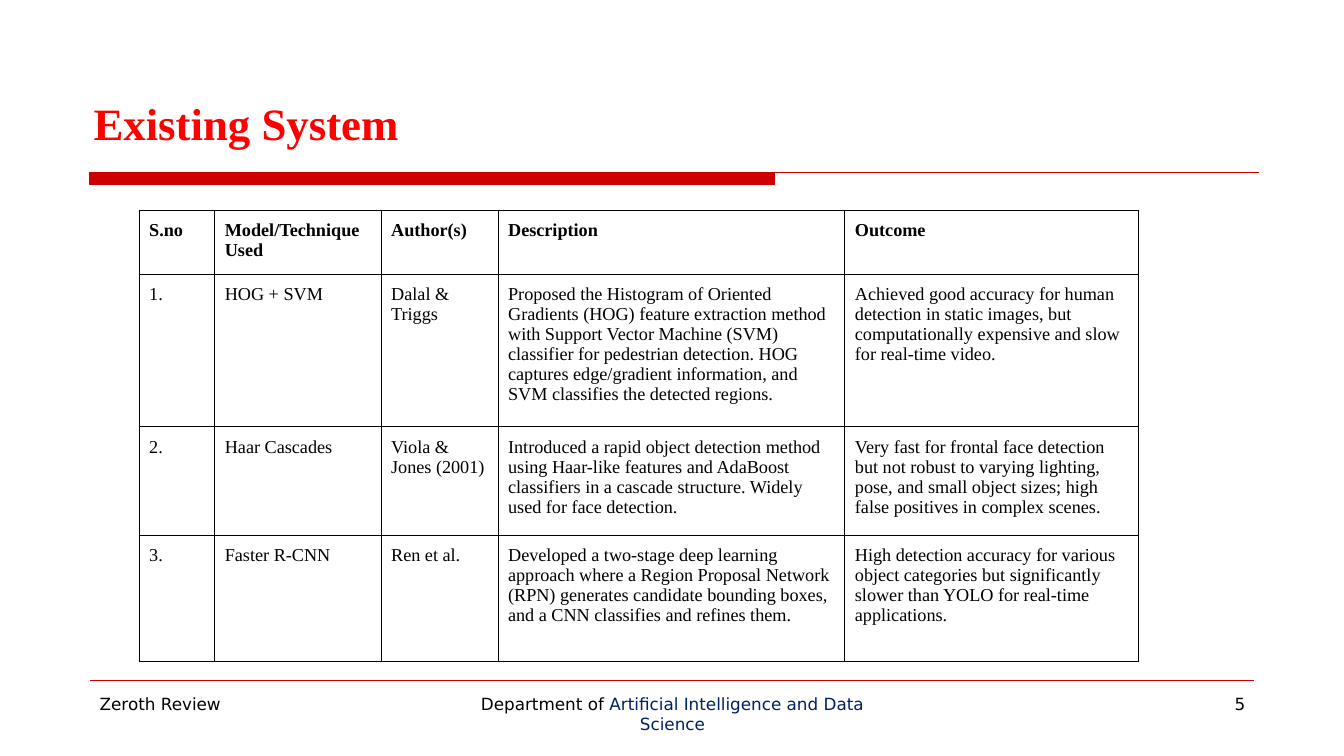
from lxml.etree import SubElement
from pptx import Presentation
from pptx.dml.color import RGBColor
from pptx.enum.shapes import MSO_CONNECTOR, MSO_SHAPE
from pptx.enum.text import MSO_ANCHOR, PP_ALIGN
from pptx.oxml.ns import qn
from pptx.util import Inches, Pt

BLACK = RGBColor(0x00, 0x00, 0x00)
RED = RGBColor(0xFF, 0x00, 0x00)
DARK_RED = RGBColor(0xCC, 0x00, 0x00)
NAVY = RGBColor(0x00, 0x20, 0x60)
SERIF = "Times New Roman"
SANS = "DejaVu Sans"


def add_span(para, text, size=12, font=SANS, color=BLACK, bold=False):
    span = para.add_run()
    span.text = text
    span.font.size = Pt(size)
    span.font.name = font
    span.font.color.rgb = color
    span.font.bold = bold


def add_box(left, top, width, height, align=PP_ALIGN.LEFT, anchor=MSO_ANCHOR.TOP):
    box = page.shapes.add_textbox(Inches(left), Inches(top), Inches(width), Inches(height))
    box.text_frame.word_wrap = True
    box.text_frame.vertical_anchor = anchor
    para = box.text_frame.paragraphs[0]
    para.alignment = align
    return para


deck = Presentation()
deck.slide_width = Inches(13.33)
deck.slide_height = Inches(7.5)
page = deck.slides.add_slide(deck.slide_layouts[6])

# Red bar and rules
bar = page.shapes.add_shape(
    MSO_SHAPE.RECTANGLE, Inches(0.89), Inches(1.71), Inches(6.79), Inches(0.12))
bar.shadow.inherit = False
bar.fill.solid()
bar.fill.fore_color.rgb = DARK_RED
bar.line.color.rgb = DARK_RED
bar.line.width = Pt(0.75)
for right, top in [(12.49, 1.71), (12.44, 6.75)]:
    rule = page.shapes.add_connector(
        MSO_CONNECTOR.STRAIGHT, Inches(0.89), Inches(top), Inches(right), Inches(top))
    rule.line.color.rgb = DARK_RED
    rule.line.width = Pt(0.75)
    SubElement(rule._element.spPr, qn("a:effectLst"))

# Title
title = add_box(0.83, 0.62, 11.67, 0.91, anchor=MSO_ANCHOR.BOTTOM)
add_span(title, "Existing System", size=32, font=SERIF, color=RED, bold=True)

# Footer
add_span(add_box(0.89, 6.83, 2.89, 0.52), "Zeroth Review")
department = add_box(4.56, 6.83, 4.22, 0.52, align=PP_ALIGN.CENTER)
add_span(department, "Department of ")
add_span(department, "Artificial Intelligence and Data Science", color=NAVY)
add_span(add_box(9.56, 6.83, 2.89, 0.52, align=PP_ALIGN.RIGHT), "5")

# Table of existing models
rows = [
    ("S.no", "Model/Technique Used", "Author(s)", "Description", "Outcome"),
    ("1.", "HOG + SVM", "Dalal & Triggs",
     "Proposed the Histogram of Oriented Gradients (HOG) feature extraction method with "
     "Support Vector Machine (SVM) classifier for pedestrian detection. HOG captures "
     "edge/gradient information, and SVM classifies the detected regions.",
     "Achieved good accuracy for human detection in static images, but computationally "
     "expensive and slow for real-time video."),
    ("2.", "Haar Cascades", "Viola & Jones (2001)",
     "Introduced a rapid object detection method using Haar-like features and AdaBoost "
     "classifiers in a cascade structure. Widely used for face detection.",
     "Very fast for frontal face detection but not robust to varying lighting, pose, and "
     "small object sizes; high false positives in complex scenes."),
    ("3.", "Faster R-CNN", "Ren et al.",
     "Developed a two-stage deep learning approach where a Region Proposal Network (RPN) "
     "generates candidate bounding boxes, and a CNN classifies and refines them.",
     "High detection accuracy for various object categories but significantly slower than "
     "YOLO for real-time applications."),
]
widths = [0.75, 1.65, 1.16, 3.44, 2.91]
heights = [0.59, 1.51, 1.08, 1.25]
table = page.shapes.add_table(
    len(rows), len(widths), Inches(1.38), Inches(2.09),
    Inches(sum(widths)), Inches(sum(heights))).table
table.horz_banding = False
for column, width in zip(table.columns, widths):
    column.width = Inches(width)
for row, height in zip(table.rows, heights):
    row.height = Inches(height)

for row_index, texts in enumerate(rows):
    for column_index, text in enumerate(texts):
        cell = table.cell(row_index, column_index)
        cell.margin_left = cell.margin_right = Inches(0.1)
        cell.margin_top = cell.margin_bottom = Inches(0.1)
        add_span(cell.text_frame.paragraphs[0], text,
                 size=13, font=SERIF, bold=row_index == 0)
        # Cell borders come before the fill in the XML
        properties = cell._tc.get_or_add_tcPr()
        for side in ("a:lnL", "a:lnR", "a:lnT", "a:lnB"):
            border = SubElement(properties, qn(side), w=str(Pt(0.75)))
            paint = SubElement(border, qn("a:solidFill"))
            SubElement(paint, qn("a:srgbClr"), val=str(BLACK))
        cell.fill.background()

deck.save("out.pptx")
